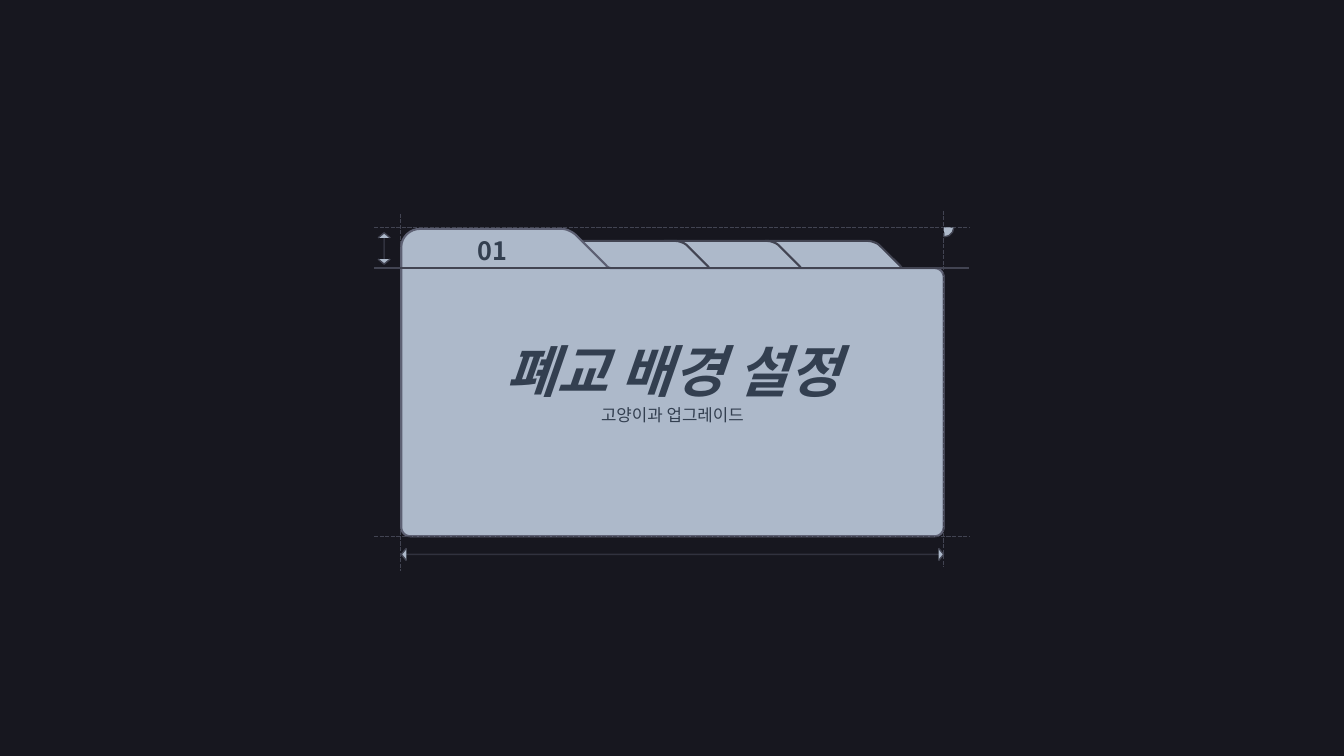
from dataclasses import dataclass

from lxml import etree
from pptx import Presentation
from pptx.dml.color import RGBColor
from pptx.enum.dml import MSO_LINE
from pptx.enum.shapes import MSO_CONNECTOR, MSO_SHAPE
from pptx.enum.text import MSO_ANCHOR, PP_ALIGN
from pptx.oxml.ns import qn
from pptx.util import Emu, Inches, Pt

STRAIGHT = MSO_CONNECTOR.STRAIGHT
ARC = MSO_SHAPE.ARC
DASH = MSO_LINE.SQUARE_DOT
MIDDLE = MSO_ANCHOR.MIDDLE
CENTER = PP_ALIGN.CENTER
TITLE_ONLY = 5
UNITS = 1000
CURVE_STEPS = 8


@dataclass(frozen=True)
class Theme:
    """Colours, font, text sizes and line widths."""
    back: str = "17171F"
    paper: str = "ADB9CA"
    guide: str = "424452"
    edge: str = "5D6073"
    ink: str = "333F50"
    font: str = "Noto Sans CJK KR"
    title: int = 40
    label: int = 18
    subtitle: int = 12
    thin: float = 1
    thick: float = 1.5


THEME = Theme()
WIDTH, HEIGHT = 13.33, 7.5
LEFT, RIGHT = 3.98, 9.36
TOP, FOLD, BOTTOM = 2.27, 2.66, 5.32
GUIDE_LEFT, GUIDE_RIGHT = 3.71, 9.61
HEIGHT_MARK, WIDTH_MARK = 3.81, 5.5
TAB_LEFTS = (7.47, 6.47, 5.56)
TAB_TOP = 2.39


def rgb(code):
    """Turn a hex code into a colour."""
    return RGBColor.from_string(code)


def bezier(a, b, c, d):
    """Return points along a cubic curve, both ends included."""
    points = []
    for i in range(CURVE_STEPS + 1):
        t = i / CURVE_STEPS
        u = 1 - t
        weights = (u ** 3, 3 * u * u * t, 3 * u * t * t, t ** 3)
        points.append(tuple(sum(w * p[k] for w, p in zip(weights, (a, b, c, d)))
                            for k in (0, 1)))
    return points


def corner(start, peak, end):
    """Round off a corner between two points."""
    near, far = (tuple(p[k] + 0.55 * (peak[k] - p[k]) for k in (0, 1))
                 for p in (start, end))
    return bezier(start, near, far, end)


def style(shape, line, width):
    """Give a shape the paper fill and an outline without shadow."""
    shape.shadow.inherit = False
    shape.fill.solid()
    shape.fill.fore_color.rgb = rgb(THEME.paper)
    shape.line.color.rgb = rgb(line)
    shape.line.width = Pt(width)


def add_outline(s, points, line, width, close=True):
    """Draw a filled outline through points in inches."""
    scaled = [(x * UNITS, y * UNITS) for x, y in points]
    builder = s.shapes.build_freeform(*scaled[0], scale=Inches(1) / UNITS)
    builder.add_line_segments(scaled[1:], close=close)
    style(builder.convert_to_shape(), line, width)


def add_guide(s, x1, y1, x2, y2, dash=None, alpha=None):
    """Draw a thin guide line, dashed or translucent if asked."""
    cx = s.shapes.add_connector(STRAIGHT, *map(Inches, (x1, y1, x2, y2)))
    cx.line.color.rgb = rgb(THEME.guide)
    cx.line.width = Pt(THEME.thin)
    if dash is not None:
        cx.line.dash_style = dash
    sp_pr = cx._element.spPr
    if alpha is not None:
        color = sp_pr.find(".//" + qn("a:srgbClr"))
        etree.SubElement(color, qn("a:alpha")).set("val", str(alpha * 1000))
    etree.SubElement(sp_pr, qn("a:effectLst"))


def add_tab(s, x):
    """Draw one rear index tab whose left side is at x."""
    y = TAB_TOP
    points = [*corner((x, y + 0.13), (x, y), (x + 0.13, y)),
              *corner((x + 1.14, y), (x + 1.2, y), (x + 1.25, y + 0.04)),
              *corner((x + 1.46, y + 0.25), (x + 1.48, y + 0.28), (x + 1.5, y + 0.28)),
              (x + 1.61, y + 0.28), (x + 1.61, y + 0.41), (x, y + 0.41)]
    add_outline(s, points, THEME.guide, THEME.thick)


def add_folder(s):
    """Draw the folder front with its raised tab."""
    r = 0.09
    points = [*corner((LEFT, TOP + 0.18), (LEFT, TOP), (LEFT + 0.19, TOP)),
              *corner((5.57, TOP), (5.65, TOP), (5.71, 2.33)),
              *corner((6.01, 2.63), (6.03, FOLD), (6.06, FOLD)),
              *corner((RIGHT - r, FOLD), (RIGHT, FOLD), (RIGHT, FOLD + r)),
              *corner((RIGHT, BOTTOM - r), (RIGHT, BOTTOM), (RIGHT - r, BOTTOM)),
              *corner((LEFT + r, BOTTOM), (LEFT, BOTTOM), (LEFT, BOTTOM - r))]
    add_outline(s, points, THEME.edge, THEME.thick)


def add_arrowhead(s, x, y, dx, dy):
    """Draw a small open arrowhead with its tip at x, y, pointing along dx, dy."""
    base_x, base_y = x - 0.05 * dx, y - 0.05 * dy
    side_x, side_y = 0.06 * dy, 0.06 * dx
    points = [(base_x - side_x, base_y - side_y), (x, y),
              (base_x + side_x, base_y + side_y)]
    add_outline(s, points, THEME.guide, THEME.thin, close=False)


def add_quarter(s):
    """Draw the quarter circle at the upper right guide crossing."""
    sp = s.shapes.add_shape(ARC, *map(Inches, (9.27, 2.16, 0.19, 0.19)))
    sp.adjustments[0], sp.adjustments[1] = 1.326, 53.741
    style(sp, THEME.guide, THEME.thin)


def set_text(sp, text, box, size, **font):
    """Place a text shape and format its single centred line."""
    sp.left, sp.top, sp.width, sp.height = map(Inches, box)
    tf = sp.text_frame
    margins = dict.fromkeys(("margin_left", "margin_top", "margin_right",
                             "margin_bottom"), Emu(0))
    for name, value in {"word_wrap": True, "vertical_anchor": MIDDLE, **margins}.items():
        setattr(tf, name, value)
    p = tf.paragraphs[0]
    p.alignment = CENTER
    r = p.add_run()
    r.text = text
    for name, value in {"name": THEME.font, "size": Pt(size), **font}.items():
        setattr(r.font, name, value)
    r.font.color.rgb = rgb(THEME.ink)
    east_asian = etree.SubElement(r.font._element, qn("a:ea"))
    east_asian.set("typeface", THEME.font)


def add_texts(s):
    """Write the title, the subtitle and the tab number."""
    title = s.shapes.title
    title.element.getparent().append(title.element)
    width = RIGHT - LEFT
    set_text(title, "폐교 배경 설정", (LEFT, 3.27, width, 0.8), THEME.title,
             bold=True, italic=True)
    for text, box, size, bold in (
            ("고양이과 업그레이드", (LEFT, 4, width, 0.24), THEME.subtitle, False),
            ("01", (4.1, 2.28, 1.57, 0.4), THEME.label, True)):
        set_text(s.shapes.add_textbox(0, 0, 0, 0), text, box, size, bold=bold)


def main():
    """Build and save the slide."""
    prs = Presentation()
    prs.slide_width, prs.slide_height = Inches(WIDTH), Inches(HEIGHT)
    s = prs.slides.add_slide(prs.slide_layouts[TITLE_ONLY])
    s.background.fill.solid()
    s.background.fill.fore_color.rgb = rgb(THEME.back)
    add_guide(s, 3.97, 2.12, 3.97, 5.66, DASH)
    for x in TAB_LEFTS:
        add_tab(s, x)
    add_folder(s)
    add_guide(s, GUIDE_LEFT, 2.26, GUIDE_RIGHT, 2.26, DASH)
    add_guide(s, RIGHT, 2.09, RIGHT, 5.63, DASH)
    add_guide(s, GUIDE_LEFT, FOLD, GUIDE_RIGHT, FOLD)
    add_guide(s, HEIGHT_MARK, 2.31, HEIGHT_MARK, 2.62, alpha=61)
    add_arrowhead(s, HEIGHT_MARK, 2.31, 0, -1)
    add_arrowhead(s, HEIGHT_MARK, 2.62, 0, 1)
    add_quarter(s)
    add_guide(s, GUIDE_LEFT, BOTTOM, GUIDE_RIGHT, BOTTOM, DASH)
    add_guide(s, LEFT, WIDTH_MARK, RIGHT, WIDTH_MARK, alpha=61)
    add_arrowhead(s, LEFT, WIDTH_MARK, -1, 0)
    add_arrowhead(s, RIGHT, WIDTH_MARK, 1, 0)
    add_texts(s)
    prs.save("out.pptx")


if __name__ == "__main__":
    main()
